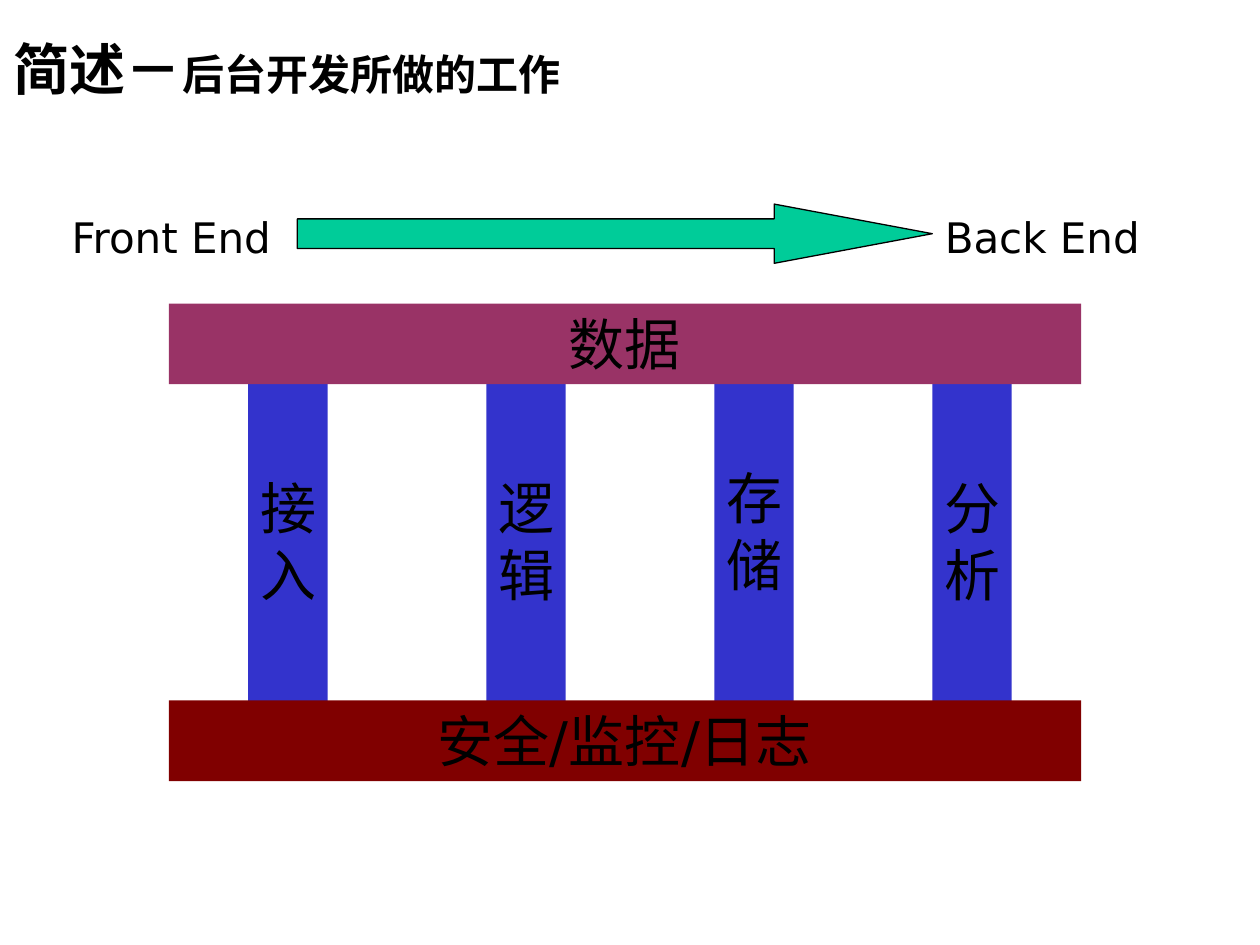
from dataclasses import dataclass

from pptx import Presentation
from pptx.dml.color import RGBColor
from pptx.enum import shapes, text
from pptx.util import Inches, Pt


@dataclass(frozen=True)
class Theme:
    ink: str = "000000"
    pillar: str = "3333CC"
    base: str = "800000"
    roof: str = "993366"
    arrow: str = "00CC99"
    title_font: str = "Times New Roman"
    body_font: str = "DejaVu Sans"
    large: int = 32
    medium: int = 24


THEME = Theme()
PILLAR_SIZE = (0.63, 2.66)
PILLARS = [("接入", 1.97, 3.04), ("逻辑", 3.86, 3.04),
           ("存储", 5.67, 2.96), ("分析", 7.4, 3.04)]
BEAM_LEFT, BEAM_WIDTH, BEAM_HEIGHT = 1.34, 7.24, 0.64


def apply_format(target, values):
    for name, value in values.items():
        setattr(target, name, value)


def set_frame(frame, anchor=text.MSO_ANCHOR.TOP, top=0.05):
    apply_format(frame, {
        "word_wrap": True, "auto_size": text.MSO_AUTO_SIZE.NONE,
        "vertical_anchor": anchor,
        "margin_left": Inches(0.1), "margin_right": Inches(0.1),
        "margin_top": Inches(top), "margin_bottom": Inches(0.05)})


def write(frame, runs, font_name, align=text.PP_ALIGN.LEFT, bold=False):
    """Fill the first paragraph with (wording, size) runs."""
    paragraph = frame.paragraphs[0]
    paragraph.alignment = align
    for wording, size in runs:
        run = paragraph.add_run()
        run.text = wording
        apply_format(run.font, {"name": font_name, "size": Pt(size), "bold": bold})
        run.font.color.rgb = RGBColor.from_string(THEME.ink)


def add_title(slide, runs):
    title = slide.shapes.title
    apply_format(title, {"left": Inches(0.01), "top": Inches(0.08),
                         "width": Inches(6.57), "height": Inches(0.92)})
    set_frame(title.text_frame, text.MSO_ANCHOR.MIDDLE)
    write(title.text_frame, runs, THEME.title_font, bold=True)


def add_filled(slide, kind, box, color):
    shape = slide.shapes.add_shape(kind, *map(Inches, box))
    shape.shadow.inherit = False
    shape.fill.solid()
    shape.fill.fore_color.rgb = RGBColor.from_string(color)
    shape.line.fill.background()
    return shape


def add_block(slide, wording, box, color, align, top=0.05):
    shape = add_filled(slide, shapes.MSO_SHAPE.RECTANGLE, box, color)
    set_frame(shape.text_frame, top=top)
    write(shape.text_frame, [(wording, THEME.large)], THEME.body_font, align)


def add_arrow(slide, box):
    arrow = add_filled(slide, shapes.MSO_SHAPE.RIGHT_ARROW, box, THEME.arrow)
    arrow.adjustments[0] = 0.5
    arrow.adjustments[1] = 2.67
    arrow.line.color.rgb = RGBColor.from_string(THEME.ink)
    arrow.line.width = Pt(0.75)


def add_label(slide, wording, left):
    label = slide.shapes.add_textbox(*map(Inches, (left, 1.63, 2.36, 0.5)))
    set_frame(label.text_frame)
    write(label.text_frame, [(wording, THEME.medium)], THEME.body_font)


def main():
    presentation = Presentation()
    presentation.slide_width, presentation.slide_height = Inches(10), Inches(7.5)
    slide = presentation.slides.add_slide(presentation.slide_layouts[5])

    add_title(slide, [("简述－", THEME.large), ("后台开发所做的工作", THEME.medium)])

    # Pillars, then the beams that overlap their ends
    for wording, left, top in PILLARS:
        add_block(slide, wording, (left, top, *PILLAR_SIZE), THEME.pillar,
                  text.PP_ALIGN.LEFT, top=0.72)
    for wording, top, color in (("安全/监控/日志", 5.56, THEME.base),
                                ("数据", 2.41, THEME.roof)):
        add_block(slide, wording, (BEAM_LEFT, top, BEAM_WIDTH, BEAM_HEIGHT),
                  color, text.PP_ALIGN.CENTER)

    # Direction from front to back
    add_arrow(slide, (2.36, 1.62, 5.04, 0.47))
    add_label(slide, "Front End", 0.47)
    add_label(slide, "Back End", 7.4)

    presentation.save("out.pptx")


if __name__ == "__main__":
    main()
